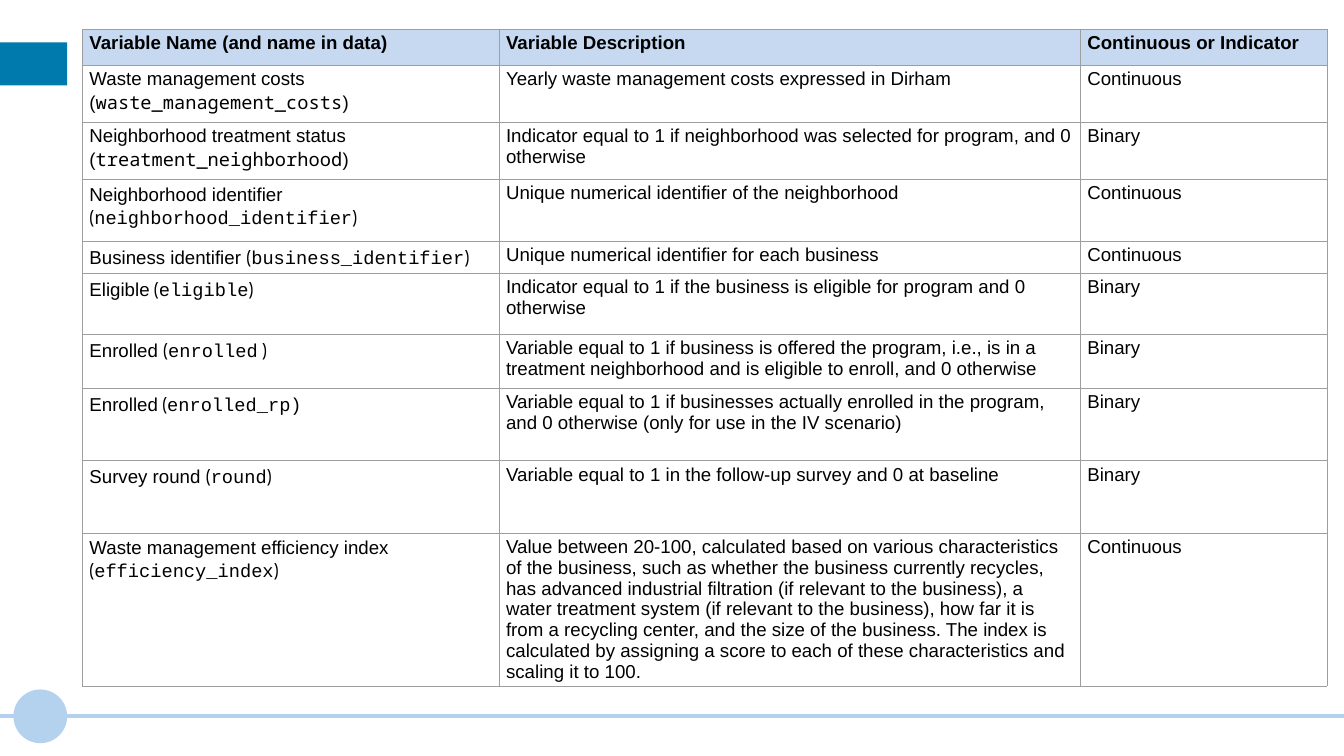
from lxml.etree import SubElement
from pptx import Presentation
from pptx.dml.color import RGBColor
from pptx.enum.shapes import MSO_CONNECTOR, MSO_SHAPE
from pptx.oxml.ns import qn
from pptx.util import Pt

HEADINGS = ("Variable Name (and name in data)", "Variable Description", "Continuous or Indicator")

# label, opening, name in data, closing, description, kind
VARIABLES = [
    ("Waste management costs", " (", "waste_management_costs", ")",
     "Yearly waste management costs expressed in Dirham", "Continuous"),
    ("Neighborhood treatment status", " (", "treatment_neighborhood", ")",
     "Indicator equal to 1 if neighborhood was selected for program, and 0 otherwise", "Binary"),
    ("Neighborhood identifier ", "(", "neighborhood_identifier", ")",
     "Unique numerical identifier of the neighborhood", "Continuous"),
    ("Business identifier ", "(", "business_identifier", ")",
     "Unique numerical identifier for each business", "Continuous"),
    ("Eligible", " (", "eligible", ")",
     "Indicator equal to 1 if the business is eligible for program and 0 otherwise", "Binary"),
    ("Enrolled ", "(", "enrolled", " )",
     "Variable equal to 1 if business is offered the program, i.e., is in a treatment "
     "neighborhood and is eligible to enroll, and 0 otherwise", "Binary"),
    ("Enrolled", " (", "enrolled_rp)", "",
     "Variable equal to 1 if businesses actually enrolled in the program, and 0 otherwise "
     "(only for use in the IV scenario)", "Binary"),
    ("Survey round ", "(", "round", ")",
     "Variable equal to 1 in the follow-up survey and 0 at baseline", "Binary"),
    ("Waste management efficiency index", " (", "efficiency_index", ")",
     "Value between 20-100, calculated based on various characteristics of the business, "
     "such as whether the business currently recycles, has advanced industrial filtration "
     "(if relevant to the business), a water treatment system (if relevant to the business), "
     "how far it is from a recycling center, and the size of the business. The index is "
     "calculated by assigning a score to each of these characteristics and scaling it to 100.",
     "Continuous"),
]

# fonts of the name in data and of its brackets
PLAIN_FONTS = ("Noto Sans Mono", "Arial")
SPACED_FONTS = ("Courier New", "Cabin")
PLAIN_ROWS = 2  # the first variables use PLAIN_FONTS and single spacing

COLUMN_WIDTHS = (446.4, 622.8, 264.2)
ROW_HEIGHTS = (38.9, 61, 61, 66.5, 34, 65.5, 57.6, 77.5, 77.5, 164)
PALE_BLUE, BLUE, HEADING_FILL, GREY, BLACK = "B4D2EE", "007AAD", "C6D9F1", "9E9E9E", "000000"


def color(hex_code):
    return RGBColor.from_string(hex_code)


def add_block(slide, preset, left, top, width, height, fill):
    block = slide.shapes.add_shape(preset, Pt(left), Pt(top), Pt(width), Pt(height))
    block.shadow.inherit = False
    block.fill.solid()
    block.fill.fore_color.rgb = color(fill)
    block.line.fill.background()


def add_rule(slide, y, width):
    rule = slide.shapes.add_connector(MSO_CONNECTOR.STRAIGHT, 0, Pt(y), width, Pt(y))
    rule.line.color.rgb = color(PALE_BLUE)
    rule.line.width = Pt(4.5)
    SubElement(rule._element.spPr, qn("a:effectLst"))


def style_cell(cell, fill=None):
    properties = cell._tc.get_or_add_tcPr()
    for side in ("L", "R", "T", "B"):
        border = SubElement(properties, qn(f"a:ln{side}"), w=str(Pt(0.75)))
        SubElement(SubElement(border, qn("a:solidFill")), qn("a:srgbClr"), val=GREY)
    if fill:
        cell.fill.solid()
        cell.fill.fore_color.rgb = color(fill)
    else:
        cell.fill.background()


def write_cell(cell, pieces, bold=False):
    """Fill a cell with (text, font name) pieces."""
    paragraph = cell.text_frame.paragraphs[0]
    for text, font_name in pieces:
        if text:
            run = paragraph.add_run()
            run.text = text
            run.font.name = font_name
            run.font.size = Pt(20)
            run.font.bold = bold
            run.font.color.rgb = color(BLACK)
    return paragraph


def add_variable_table(slide):
    table = slide.shapes.add_table(
        len(ROW_HEIGHTS), len(COLUMN_WIDTHS), Pt(88.6), Pt(31.5),
        Pt(sum(COLUMN_WIDTHS)), Pt(sum(ROW_HEIGHTS))).table
    table.horz_banding = False
    for column, width in zip(table.columns, COLUMN_WIDTHS):
        column.width = Pt(width)
    for row, height in zip(table.rows, ROW_HEIGHTS):
        row.height = Pt(height)

    for column, heading in enumerate(HEADINGS):
        style_cell(table.cell(0, column), HEADING_FILL)
        write_cell(table.cell(0, column), [(heading, "Arial")], bold=True)

    for row, (label, opening, name, closing, description, kind) in enumerate(VARIABLES, 1):
        code_font, bracket_font = PLAIN_FONTS if row <= PLAIN_ROWS else SPACED_FONTS
        contents = (
            [(label, "Arial"), (opening, bracket_font), (name, code_font), (closing, bracket_font)],
            [(description, "Arial")],
            [(kind, "Arial")],
        )
        for column, pieces in enumerate(contents):
            style_cell(table.cell(row, column))
            paragraph = write_cell(table.cell(row, column), pieces)
            if column == 0 and PLAIN_ROWS < row < len(VARIABLES):
                paragraph.line_spacing = 1.07
                paragraph.space_after = Pt(8)


def main():
    deck = Presentation()
    deck.slide_width, deck.slide_height = Pt(1440), Pt(810)
    slide = deck.slides.add_slide(deck.slide_layouts[6])
    add_rule(slide, 767.5, deck.slide_width)
    add_block(slide, MSO_SHAPE.OVAL, 14.4, 738.7, 57.6, 57.6, PALE_BLUE)
    add_block(slide, MSO_SHAPE.RECTANGLE, 0, 45.4, 72, 46, BLUE)
    add_variable_table(slide)
    deck.save("out.pptx")


if __name__ == "__main__":
    main()
